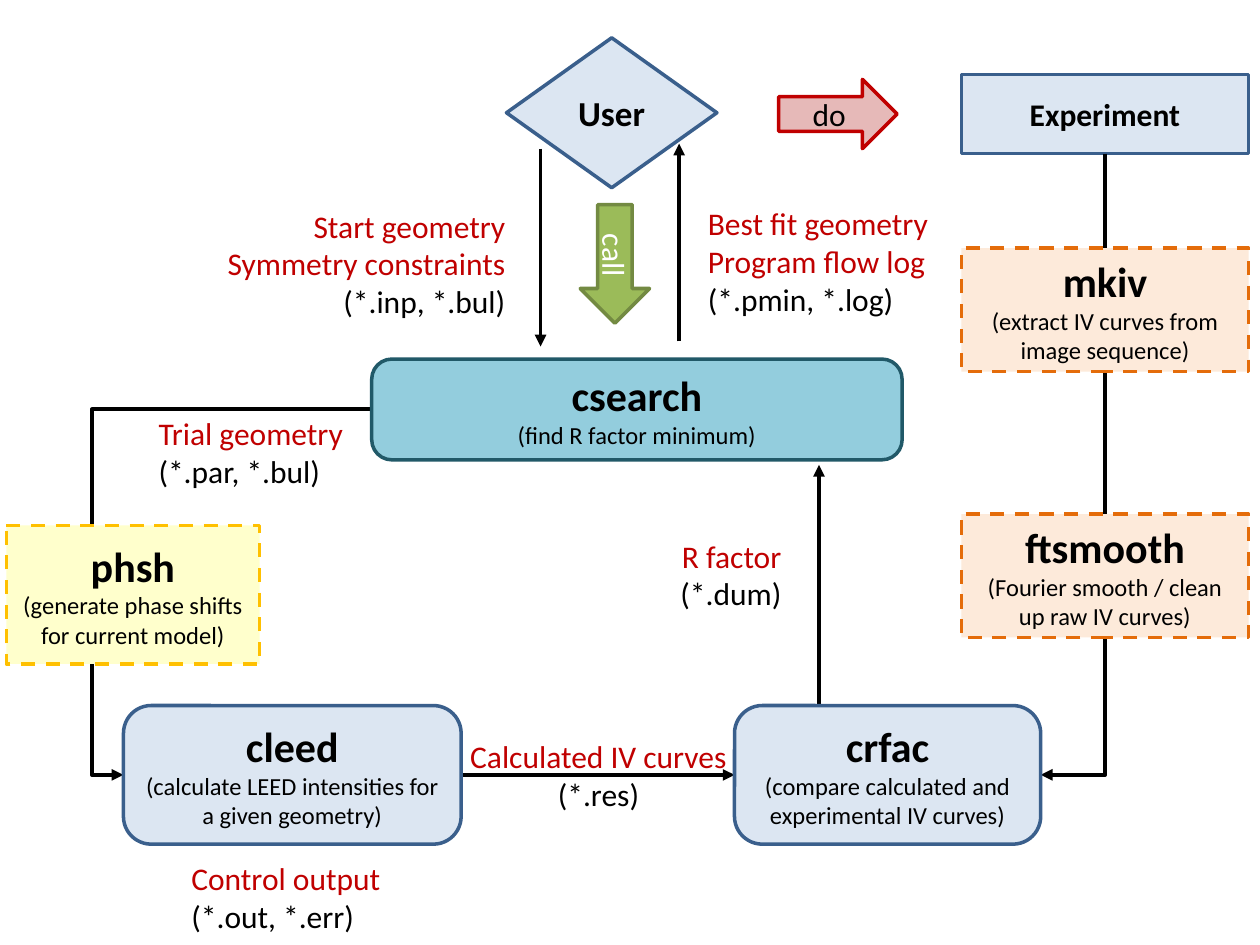
from dataclasses import dataclass

from lxml import etree
from pptx import Presentation
from pptx.dml.color import RGBColor
from pptx.enum.dml import MSO_LINE
from pptx.enum.shapes import MSO_CONNECTOR, MSO_SHAPE
from pptx.enum.text import MSO_ANCHOR, MSO_AUTO_SIZE, PP_ALIGN
from pptx.oxml.ns import qn
from pptx.util import Inches, Pt


@dataclass(frozen=True)
class Theme:
    font: str = "Calibri"
    black: str = "000000"
    white: str = "FFFFFF"
    red: str = "C00000"
    blue: tuple = ("DCE6F2", "3A5F8C")  # fill, outline
    teal: tuple = ("93CDDD", "215968")
    yellow: tuple = ("FFFFCC", "FFC000")
    orange: tuple = ("FDEADA", "E46C0A")
    pink: tuple = ("E6B9B8", "C00000")
    green: tuple = ("9BBB59", "738A42")
    program: int = 24
    actor: int = 20
    body: int = 18
    detail: int = 14
    outline: float = 2
    flow: float = 2.25


T = Theme()


def write(tf, lines, align):
    """Fill a text frame with (text, size, colour, bold) lines."""
    for i, (text, size, color, bold) in enumerate(lines):
        p = tf.paragraphs[0] if i == 0 else tf.add_paragraph()
        p.text = text
        p.alignment = align
        p.font.name = T.font
        p.font.size = Pt(size)
        p.font.bold = bold
        p.font.color.rgb = RGBColor.from_string(color)


def add_node(kind, box, colors, lines, dashed=False, corner=None):
    sp = s.shapes.add_shape(kind, *map(Inches, box))
    sp.shadow.inherit = False
    if corner is not None:
        sp.adjustments[0] = corner
    fill, outline = colors
    sp.fill.solid()
    sp.fill.fore_color.rgb = RGBColor.from_string(fill)
    sp.line.color.rgb = RGBColor.from_string(outline)
    sp.line.width = Pt(T.outline)
    if dashed:
        sp.line.dash_style = MSO_LINE.DASH
    sp.text_frame.word_wrap = True
    sp.text_frame.vertical_anchor = MSO_ANCHOR.MIDDLE
    write(sp.text_frame, lines, PP_ALIGN.CENTER)
    return sp


prs = Presentation()
prs.slide_width, prs.slide_height = Inches(10), Inches(7.5)
s = prs.slides.add_slide(prs.slide_layouts[6])

# Actors
add_node(MSO_SHAPE.FLOWCHART_DECISION, (4.02, 0.3, 1.67, 1.19), T.blue,
         [("User", T.actor, T.black, True)])
add_node(MSO_SHAPE.FLOWCHART_PROCESS, (7.63, 0.59, 2.28, 0.63), T.blue,
         [("Experiment", T.body, T.black, True)])

# Flow lines, behind the programs they pass through
flows = {}
for name, kind, x1, y1, x2, y2 in [
    ("start", MSO_CONNECTOR.STRAIGHT, 4.29, 1.18, 4.29, 2.75),
    ("best fit", MSO_CONNECTOR.STRAIGHT, 5.39, 2.71, 5.39, 1.14),
    ("R factor", MSO_CONNECTOR.STRAIGHT, 6.5, 5.6, 6.5, 3.69),
    ("calculated", MSO_CONNECTOR.STRAIGHT, 3.66, 6.15, 5.83, 6.15),
    ("trial", MSO_CONNECTOR.ELBOW, 2.95, 3.25, 0.98, 6.15),
    ("measured", MSO_CONNECTOR.ELBOW, 6.05, 3.43, 10.98, 3.94),
]:
    c = s.shapes.add_connector(kind, *map(Inches, (x1, y1, x2, y2)))
    c.line.color.rgb = RGBColor.from_string(T.black)
    c.line.width = Pt(T.flow)
    etree.SubElement(c.line._get_or_add_ln(), qn("a:tailEnd"), type="triangle")
    etree.SubElement(c._element.spPr, qn("a:effectLst"))
    flows[name] = c

# The trial line bends outside its own span
geom = flows["trial"]._element.spPr.find(qn("a:prstGeom"))
etree.SubElement(geom.find(qn("a:avLst")), qn("a:gd"),
                 name="adj1", fmla="val 112700")

# The measured line is a single corner, turned to run down and then left
sp_pr = flows["measured"]._element.spPr
sp_pr.find(qn("a:prstGeom")).set("prst", "bentConnector2")
sp_pr.find(qn("a:xfrm")).set("rot", str(90 * 60000))

# Programs
programs = {}
for name, detail, box, kind, colors, dashed, corner in [
    ("csearch", "(find R factor minimum)", (2.95, 2.85, 4.21, 0.8),
     MSO_SHAPE.ROUNDED_RECTANGLE, T.teal, False, 0.2),
    ("cleed", "(calculate LEED intensities for a given geometry)",
     (0.98, 5.6, 2.68, 1.1), MSO_SHAPE.ROUNDED_RECTANGLE, T.blue, False, 0.2),
    ("crfac", "(compare calculated and experimental IV curves)",
     (5.83, 5.6, 2.43, 1.1), MSO_SHAPE.ROUNDED_RECTANGLE, T.blue, False, 0.2),
    ("phsh", "(generate phase shifts for current model)",
     (0.05, 4.17, 2.01, 1.1), MSO_SHAPE.ROUNDED_RECTANGLE, T.yellow, True, 0),
    ("mkiv", "(extract IV curves from image sequence)",
     (7.63, 1.97, 2.28, 0.98), MSO_SHAPE.RECTANGLE, T.orange, True, None),
    ("ftsmooth", "(Fourier smooth / clean up raw IV curves)",
     (7.63, 4.08, 2.28, 0.98), MSO_SHAPE.RECTANGLE, T.orange, True, None),
]:
    lines = [(name, T.program, T.black, True),
             (detail, T.detail, T.black, False)]
    programs[name] = add_node(kind, box, colors, lines, dashed, corner)

flows["calculated"].begin_connect(programs["cleed"], 3)
flows["calculated"].end_connect(programs["crfac"], 1)

# Block arrows for what the user does
add_node(MSO_SHAPE.RIGHT_ARROW, (6.18, 0.63, 0.94, 0.55), T.pink,
         [("do", T.body, T.black, False)])
call = add_node(MSO_SHAPE.RIGHT_ARROW, (4.41, 1.82, 0.94, 0.55), T.green,
                [("call", T.body, T.white, False)])
call.rotation = 90

# Data labels: contents in red, file types in black
for box, align, contents, files, wrap in [
    ((1.68, 1.59, 2.43, 1.01), PP_ALIGN.RIGHT,
     ["Start geometry", "Symmetry constraints"], "(*.inp, *.bul)", False),
    ((5.52, 1.57, 1.97, 1.01), PP_ALIGN.LEFT,
     ["Best fit geometry", "Program flow log"], "(*.pmin, *.log)", False),
    ((5.29, 4.21, 1.01, 0.71), PP_ALIGN.RIGHT,
     ["R factor"], "(*.dum)", False),
    ((1.16, 3.24, 1.68, 0.71), PP_ALIGN.LEFT,
     ["Trial geometry"], "(*.par, *.bul)", False),
    ((1.42, 6.77, 1.81, 0.71), PP_ALIGN.LEFT,
     ["Control output"], "(*.out, *.err)", True),
    ((3.62, 5.8, 2.26, 0.71), PP_ALIGN.CENTER,
     ["Calculated IV curves"], "(*.res)", False),
]:
    tf = s.shapes.add_textbox(*map(Inches, box)).text_frame
    tf.word_wrap = wrap
    tf.auto_size = MSO_AUTO_SIZE.SHAPE_TO_FIT_TEXT
    lines = [(text, T.body, T.red, False) for text in contents]
    write(tf, lines + [(files, T.body, T.black, False)], align)

prs.save("out.pptx")
